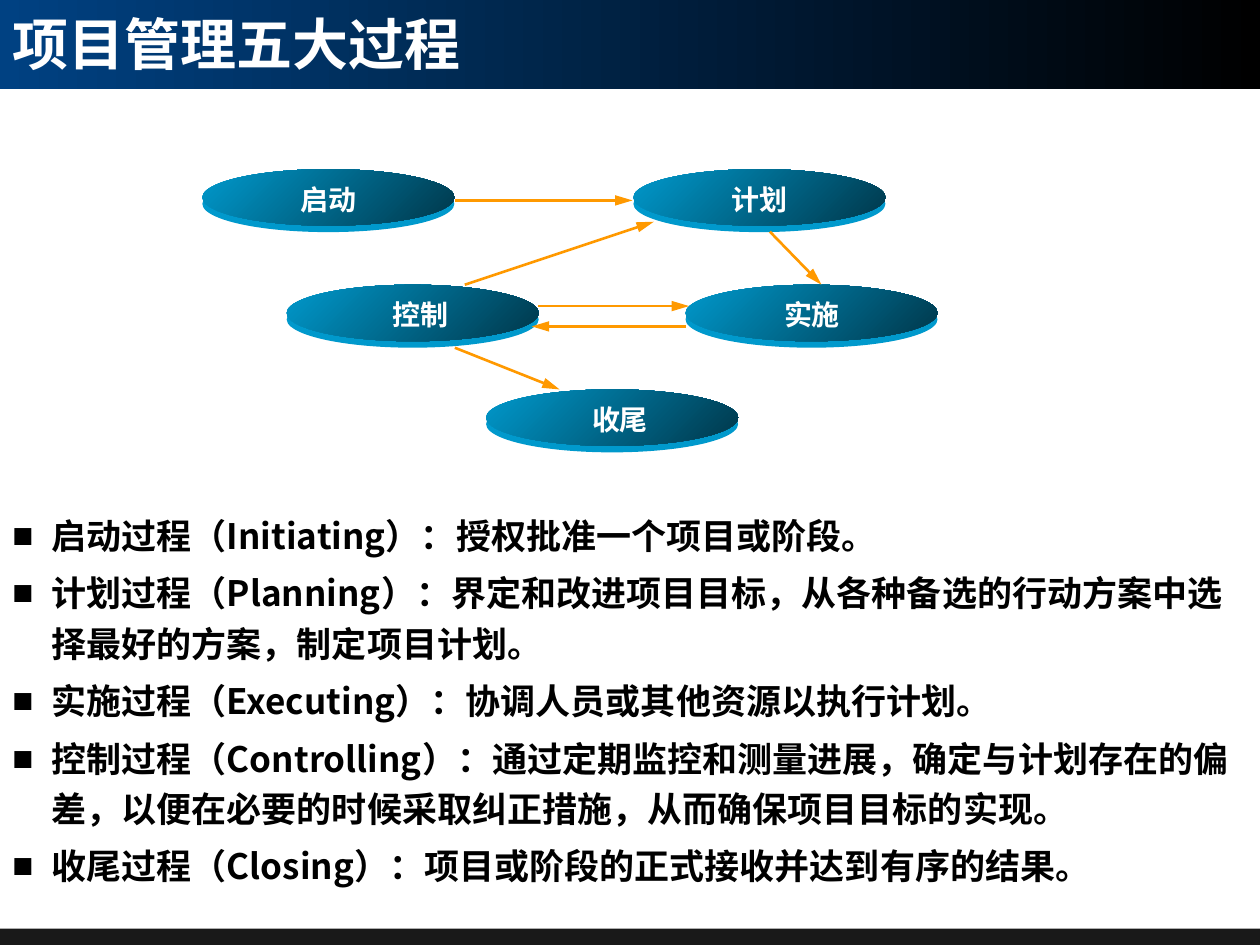
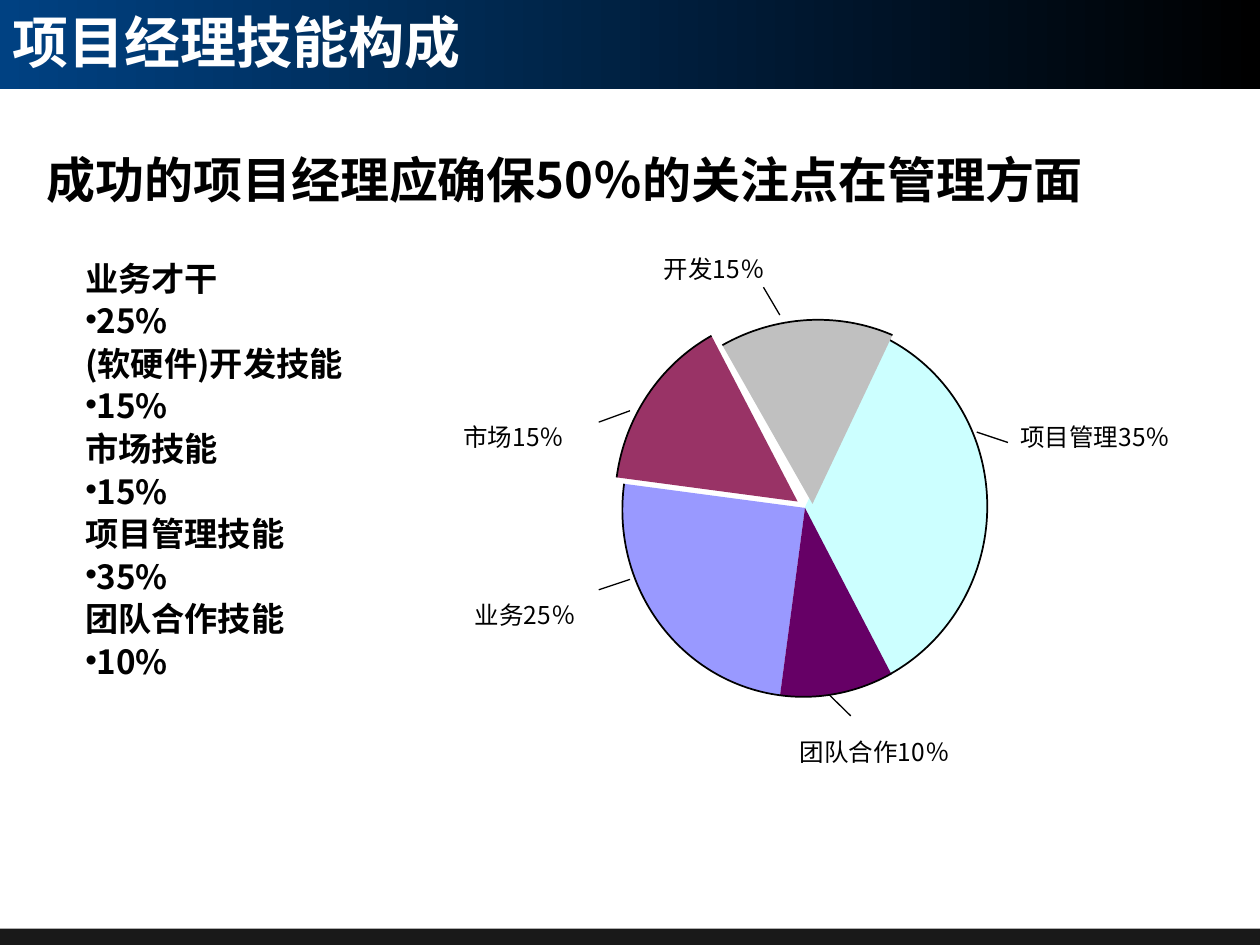
from copy import deepcopy
from math import ceil, cos, radians, sin, tan

from lxml import etree
from pptx import Presentation
from pptx.dml.color import RGBColor
from pptx.enum.shapes import MSO_CONNECTOR, MSO_SHAPE
from pptx.enum.text import MSO_ANCHOR, PP_ALIGN
from pptx.oxml.ns import qn
from pptx.util import Cm, Pt

STRAIGHT = MSO_CONNECTOR.STRAIGHT
RECTANGLE, OVAL = MSO_SHAPE.RECTANGLE, MSO_SHAPE.OVAL
TOP, MIDDLE = MSO_ANCHOR.TOP, MSO_ANCHOR.MIDDLE
LEFT, CENTER = PP_ALIGN.LEFT, PP_ALIGN.CENTER

FONT = "Noto Sans CJK SC"
COLORS = {
    "band start": "004182",
    "black": "000000",
    "white": "FFFFFF",
    "oval": "0099CC",
    "oval end": "00374A",
    "arrow": "FF9900",
    "market": "993366",
    "management": "CCFFFF",
    "business": "9999FF",
    "teamwork": "660066",
    "development": "C0C0C0",
}
RGB = {name: RGBColor.from_string(value) for name, value in COLORS.items()}


def add_text(slide, box, lines, size, color="black", bold=True, font=FONT, anchor=MIDDLE,
             align=LEFT, spacing=1.0, before=0, indent=0):
    """Add a text box; each line is a (bullet, text) pair."""
    text_frame = slide.shapes.add_textbox(*(Cm(length) for length in box)).text_frame
    text_frame.word_wrap = True
    text_frame.vertical_anchor = anchor
    for index, (bullet, text) in enumerate(lines):
        paragraph = text_frame.add_paragraph() if index else text_frame.paragraphs[0]
        paragraph.text = text
        if bullet:
            properties = paragraph._p.get_or_add_pPr()
            properties.set("marL", str(Cm(indent)))
            properties.set("indent", str(-Cm(indent)))
            etree.SubElement(properties, qn("a:buFont"), typeface="Arial")
            etree.SubElement(properties, qn("a:buChar"), char=bullet)
        paragraph.alignment = align
        paragraph.line_spacing = spacing
        paragraph.space_before = Pt(before if index else 0)
        for run in paragraph.runs:
            run.font.size = Pt(size)
            run.font.bold = bold
            run.font.name = font
            run.font.color.rgb = RGB[color]
            etree.SubElement(run.font._element, qn("a:ea"), typeface=FONT)


def add_line(slide, ends, color, width, arrow=False):
    """Add a straight line, with an arrowhead at its end if asked."""
    connector = slide.shapes.add_connector(STRAIGHT, *(Cm(length) for length in ends))
    connector.line.color.rgb = RGB[color]
    connector.line.width = Pt(width)
    if arrow:
        etree.SubElement(connector.line._get_or_add_ln(), qn("a:tailEnd"),
                         type="triangle", w="med", len="lg")
    etree.SubElement(connector.element.spPr, qn("a:effectLst"))


presentation = Presentation()
presentation.slide_width = Cm(25.4)
presentation.slide_height = Cm(19.05)

# Shared title band, title and footer band
slides = []
for title, title_top, title_height in (("项目管理五大过程", 0, 1.73), ("项目经理技能构成", 0.14, 1.37)):
    slide = presentation.slides.add_slide(presentation.slide_layouts[6])
    slides.append(slide)
    for band_top, band_height in ((0, 1.8), (18.72, 0.33)):
        band = slide.shapes.add_shape(RECTANGLE, 0, Cm(band_top), Cm(25.4), Cm(band_height))
        band.shadow.inherit = False
        band.line.fill.background()
        if band_top == 0:
            band.fill.gradient()
            band.fill.gradient_angle = 0
            for stop, color in zip(band.fill.gradient_stops, ("band start", "black")):
                stop.color.rgb = RGB[color]
        else:
            band.fill.solid()
            band.fill.fore_color.rgb = RGB["black"]
            footer_color = band.element.spPr.find(".//" + qn("a:srgbClr"))
            etree.SubElement(footer_color, qn("a:alpha"), val="90000")
    add_text(slide, (0, title_top, 14.58, title_height), [("", title)], 32, "white")
process_slide, skill_slide = slides

# Process descriptions
descriptions = (
    "启动过程（Initiating）：授权批准一个项目或阶段。",
    "计划过程（Planning）：界定和改进项目目标，从各种备选的行动方案中选择最好的方案，制定项目计划。",
    "实施过程（Executing）：协调人员或其他资源以执行计划。",
    "控制过程（Controlling）：通过定期监控和测量进展，确定与计划存在的偏差，"
    "以便在必要的时候采取纠正措施，从而确保项目目标的实现。",
    "收尾过程（Closing）：项目或阶段的正式接收并达到有序的结果。",
)
add_text(process_slide, (0, 10.08, 25.4, 8.53), [("■", text) for text in descriptions], 20,
         anchor=TOP, spacing=1.2, before=4, indent=0.79)

# Process ovals: a flat one below, a shaded one on top, and a label
ovals = (
    ("启动", 4.08, 3.41, 1.28),
    ("计划", 12.77, 3.41, 1.27),
    ("控制", 5.78, 5.74, 1.42),
    ("实施", 13.82, 5.74, 1.28),
    ("收尾", 9.8, 7.85, 1.43),
)
OVAL_DEPTH = 0.13
for name, left, top, label_offset in ovals:
    for depth in (OVAL_DEPTH, 0):
        oval = process_slide.shapes.add_shape(OVAL, Cm(left), Cm(top + depth), Cm(5.08), Cm(1.14))
        oval.shadow.inherit = False
        oval.line.fill.background()
        if depth:
            oval.fill.solid()
            oval.fill.fore_color.rgb = RGB["oval"]
        else:
            oval.fill.gradient()
            oval.fill.gradient_angle = 315
            for stop, color in zip(oval.fill.gradient_stops, ("oval", "oval end")):
                stop.color.rgb = RGB[color]
    add_text(process_slide, (left + label_offset, top + OVAL_DEPTH, 2.54, 0.94), [("", name)],
             16, "white", font="Arial", align=CENTER)

# Process arrows
arrows = (
    (9.17, 4.04, 12.75, 4.04),
    (10.85, 6.17, 13.89, 6.17),
    (13.82, 6.58, 10.72, 6.58),
    (9.37, 5.74, 13.18, 4.47),
    (15.52, 4.67, 16.56, 5.74),
    (9.17, 7.01, 11.28, 7.85),
)
for ends in arrows:
    add_line(process_slide, ends, "arrow", 1.5, arrow=True)

# Skill heading and list
add_text(skill_slide, (0.69, 2.89, 24.33, 1.45), [("", "成功的项目经理应确保50％的关注点在管理方面")], 28)
skills = (
    ("业务才干", 25),
    ("(软硬件)开发技能", 15),
    ("市场技能", 15),
    ("项目管理技能", 35),
    ("团队合作技能", 10),
)
skill_lines = []
for skill, share in skills:
    skill_lines += [("", skill), ("•", f"{share}%")]
add_text(skill_slide, (1.47, 5.33, 6.78, 9.07), skill_lines, 19, anchor=TOP, spacing=0.65, before=9.5)

# Pie slices: colour, share, start angle, tilt, centre, label, label left, top and width, leader ends
slices = (
    ("market", 15, 270, 7.6, (16.08, 10.11), "市场", (9.09, 8.08, 2.97), (12.7, 8.28, 12.07, 8.51)),
    ("management", 35, 18, 7.6, (16.22, 10.24), "项目管理", (20.32, 8.08, 4.45), (19.69, 8.71, 20.32, 8.92)),
    ("business", 25, 180, 7.6, (16.23, 10.24), "业务", (9.32, 11.68, 2.97), (12.7, 11.68, 12.07, 11.89)),
    ("teamwork", 10, 144, 7.6, (16.23, 10.24), "团队合作", (15.87, 14.43, 4.88), (16.71, 14, 17.15, 14.43)),
    ("development", 15, 270, 60.4, (16.38, 10.16), "开发", (13.13, 4.7, 4.01), (15.72, 6.35, 15.39, 5.79)),
)
RADIUS_X, RADIUS_Y = 3.68, 3.81
for color, share, start, tilt, (center_x, center_y), label, label_place, leader in slices:
    # Curve points on the unit circle, at most a quarter turn per curve
    sweep = radians(share * 3.6)
    curve_count = ceil(share / 25)
    step = sweep / curve_count
    handle = 4 / 3 * tan(step / 4)
    unit_points = [(sin(radians(start)), -cos(radians(start)))]
    for curve in range(curve_count):
        first = radians(start) + curve * step
        last = first + step
        unit_points += [
            (sin(first) + handle * cos(first), -cos(first) + handle * sin(first)),
            (sin(last) - handle * cos(last), -cos(last) - handle * sin(last)),
            (sin(last), -cos(last)),
        ]
    unit_points.append((0, 0))

    # Stretch to the ellipse, tilt and move to the centre
    turn = radians(tilt)
    points = []
    for unit_x, unit_y in unit_points:
        x, y = unit_x * RADIUS_X, unit_y * RADIUS_Y
        points.append((Cm(center_x + x * cos(turn) - y * sin(turn)),
                       Cm(center_y + x * sin(turn) + y * cos(turn))))
    builder = skill_slide.shapes.build_freeform(*points[0])
    builder.add_line_segments(points[1:], close=True)
    pie_slice = builder.convert_to_shape()
    pie_slice.shadow.inherit = False
    pie_slice.fill.solid()
    pie_slice.fill.fore_color.rgb = RGB[color]
    pie_slice.line.color.rgb = RGB["black"]
    pie_slice.line.width = Pt(1)

    # Join each three segments of the arc into one curve
    wedge = pie_slice.element.spPr.find(".//" + qn("a:path"))
    segments = wedge.findall(qn("a:lnTo"))[:-1]
    for index in range(0, len(segments), 3):
        bezier = etree.Element(qn("a:cubicBezTo"))
        segments[index].addprevious(bezier)
        for segment in segments[index:index + 3]:
            bezier.append(segment[0])
            wedge.remove(segment)

    # Only the arc is outlined: fill the wedge, then stroke an open path
    arc = deepcopy(wedge)
    for edge in arc[-2:]:
        arc.remove(edge)
    wedge.set("stroke", "0")
    arc.set("fill", "none")
    wedge.addnext(arc)

    add_line(skill_slide, leader, "black", 0.75)
    add_text(skill_slide, (*label_place, 1.14), [("", f"{label}{share}％")], 14, bold=False, spacing=1.5)

presentation.save("out.pptx")
